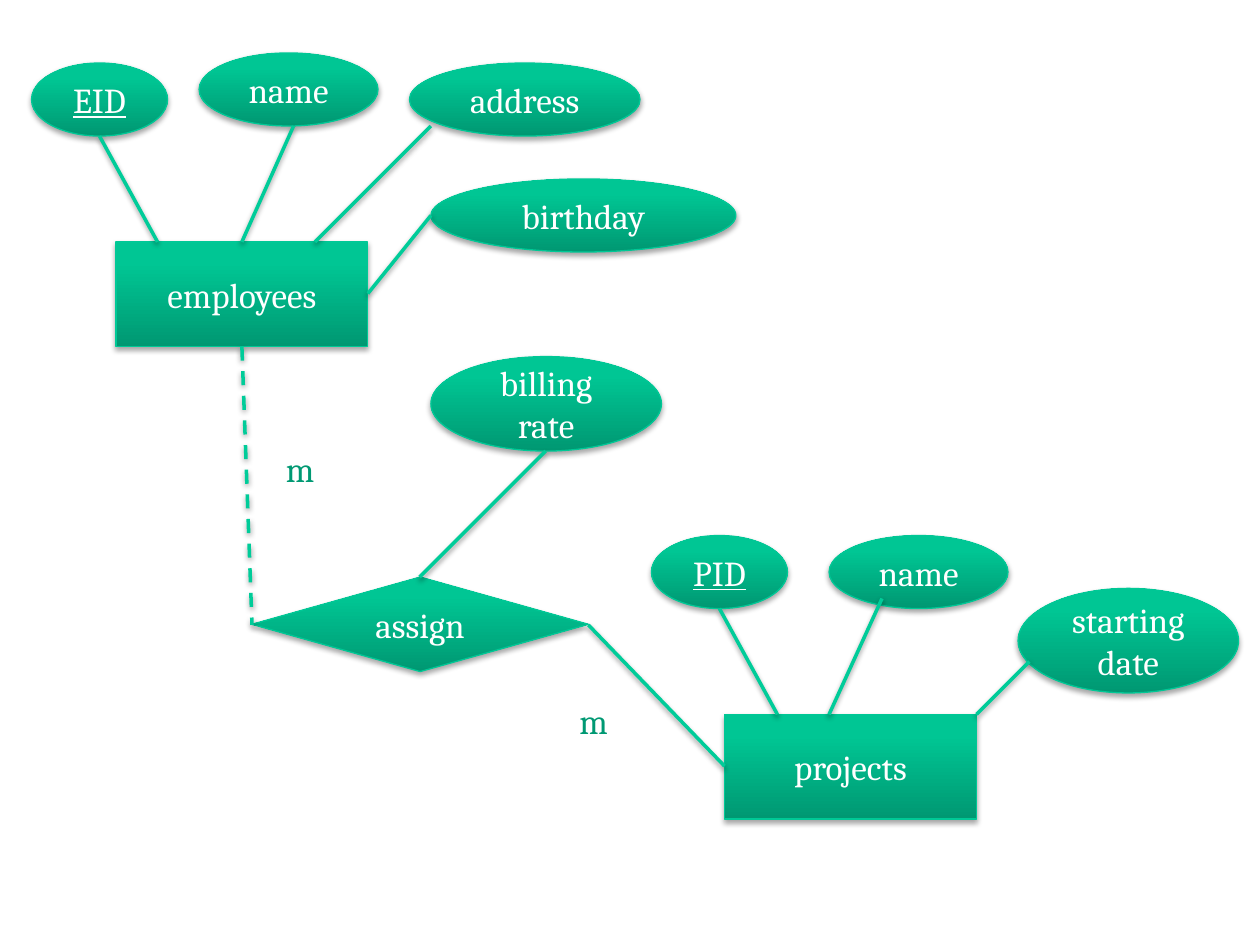
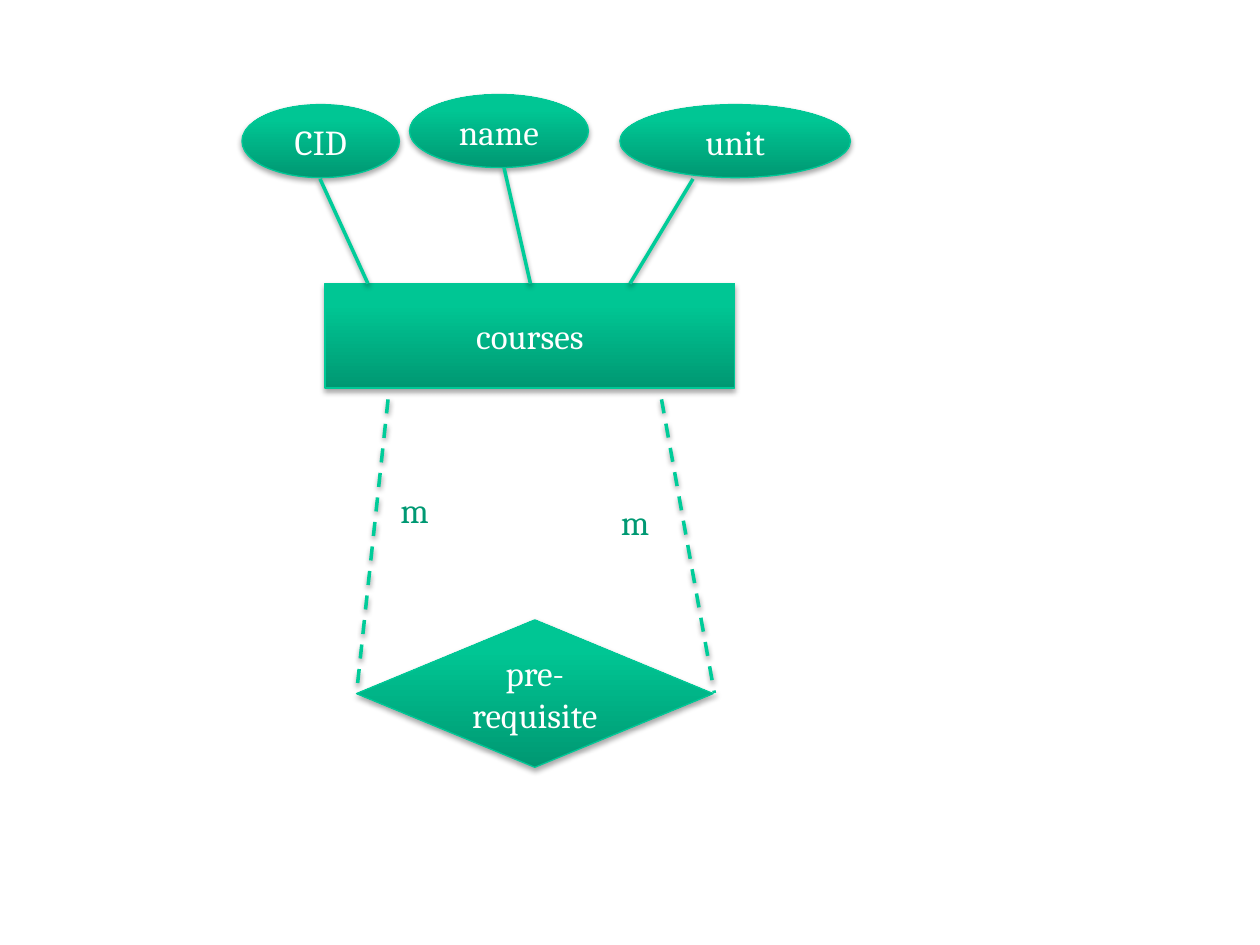
"""Two entity-relationship diagrams: project assignments and course prerequisites."""
from dataclasses import dataclass

import lxml.etree
import pptx
import pptx.dml.color
import pptx.enum.dml
import pptx.enum.shapes
import pptx.enum.text
import pptx.oxml.ns
import pptx.slide
import pptx.util

Inches = pptx.util.Inches
Pt = pptx.util.Pt
qn = pptx.oxml.ns.qn
Shape = pptx.enum.shapes.MSO_SHAPE

FONT = "Cambria"
FONT_SIZE = 20
WHITE = "FFFFFF"
OUTLINE = "00C896"
CONNECTOR = "00CC99"
LABEL = "009973"
GRADIENT = ((0, "009872"), (80, "00C694"), (100, "00C795"))
GRADIENT_ANGLE = 270
SHADOW_BLUR = 3.15
NODE_SHADOW = (1.8, 35)
LINE_SHADOW = (1.6, 38)

ENTITY_HEIGHT = 0.83
ATTRIBUTE_HEIGHT = 0.58
LABEL_SIZE = 0.44


@dataclass(frozen=True)
class Node:
    """An entity, relationship or attribute with its box in inches."""
    kind: Shape
    text: str
    left: float
    top: float
    width: float
    height: float
    key: bool = False


@dataclass(frozen=True)
class Link:
    """A line between two points in inches."""
    start: tuple[float, float]
    end: tuple[float, float]
    dashed: bool = False


@dataclass(frozen=True)
class Diagram:
    """Everything on one slide; labels are the corners of the "m" marks."""
    nodes: list[Node]
    links: list[Link]
    labels: list[tuple[float, float]]


def entity(text: str, left: float, top: float, width: float = 2) -> Node:
    """Describe an entity rectangle."""
    return Node(Shape.RECTANGLE, text, left, top, width, ENTITY_HEIGHT)


def relationship(text: str, left: float, top: float, width: float, height: float) -> Node:
    """Describe a relationship diamond."""
    return Node(Shape.DIAMOND, text, left, top, width, height)


def attribute(text: str, left: float, top: float, width: float,
              height: float = ATTRIBUTE_HEIGHT, key: bool = False) -> Node:
    """Describe an attribute ellipse; a key is underlined."""
    return Node(Shape.OVAL, text, left, top, width, height, key)


ASSIGNMENTS = Diagram(
    nodes=[
        entity("employees", 0.92, 1.92),
        relationship("assign", 2, 4.58, 2.67, 0.75),
        entity("projects", 5.75, 5.67),
        attribute("EID", 0.25, 0.5, 1.08, key=True),
        attribute("name", 1.58, 0.42, 1.42),
        attribute("birthday", 3.42, 1.42, 2.42),
        attribute("address", 3.25, 0.5, 1.83),
        attribute("PID", 5.17, 4.25, 1.08, key=True),
        attribute("name", 6.58, 4.25, 1.42),
        attribute("starting date", 8.08, 4.67, 1.75, 0.83),
        attribute("billing rate", 3.42, 2.83, 1.83, 0.75),
    ],
    links=[
        Link((1.92, 2.75), (2, 4.96), dashed=True),
        Link((4.67, 4.96), (5.75, 6.08)),
        Link((1.25, 1.92), (0.79, 1.08)),
        Link((1.92, 1.92), (2.33, 1)),
        Link((2.5, 1.92), (3.42, 1)),
        Link((2.92, 2.33), (3.42, 1.71)),
        Link((6.17, 5.67), (5.71, 4.83)),
        Link((6.58, 5.67), (7, 4.75)),
        Link((7.75, 5.67), (8.17, 5.25)),
        Link((3.33, 4.58), (4.33, 3.58)),
    ],
    labels=[(2.17, 3.5), (4.5, 5.5)],
)

PREREQUISITES = Diagram(
    nodes=[
        entity("courses", 2.58, 2.25, 3.25),
        relationship("pre-requisite", 2.83, 4.92, 2.83, 1.17),
        attribute("CID", 1.92, 0.83, 1.25),
        attribute("name", 3.25, 0.75, 1.42),
        attribute("unit", 4.92, 0.83, 1.83),
    ],
    links=[
        Link((3.08, 3.17), (2.83, 5.5), dashed=True),
        Link((5.25, 3.17), (5.67, 5.5), dashed=True),
        Link((2.92, 2.25), (2.54, 1.42)),
        Link((4.21, 2.25), (4, 1.33)),
        Link((5, 2.25), (5.5, 1.42)),
    ],
    labels=[(3.08, 3.83), (4.83, 3.92)],
)


def rgb(value: str) -> pptx.dml.color.RGBColor:
    """Turn a hex string into a colour."""
    return pptx.dml.color.RGBColor.from_string(value)


def add_element(parent, tag: str, **attributes):
    """Append a drawing element with the given attributes."""
    values = {name: str(value) for name, value in attributes.items()}
    return lxml.etree.SubElement(parent, qn(tag), values)


def add_shadow(shape, distance: float, opacity: int) -> None:
    """Drop a soft black shadow straight down; call after styling the line."""
    effects = add_element(shape._element.spPr, "a:effectLst")
    shadow = add_element(effects, "a:outerShdw", blurRad=Pt(SHADOW_BLUR),
                         dist=Pt(distance), dir=90 * 60000, rotWithShape=0)
    colour = add_element(shadow, "a:srgbClr", val="000000")
    add_element(colour, "a:alpha", val=opacity * 1000)


def fill_gradient(shape) -> None:
    """Fill a shape with the shared three-stop green gradient."""
    shape.fill.gradient()
    gradient = shape._element.spPr.find(qn("a:gradFill"))
    for child in list(gradient):
        gradient.remove(child)
    stops = add_element(gradient, "a:gsLst")
    for position, colour in GRADIENT:
        stop = add_element(stops, "a:gs", pos=position * 1000)
        add_element(stop, "a:srgbClr", val=colour)
    add_element(gradient, "a:lin", ang=GRADIENT_ANGLE * 60000, scaled=0)


def add_run(paragraph, text: str, colour: str, underline: bool = False) -> None:
    """Add one run in the shared font."""
    run = paragraph.add_run()
    run.text = text
    run.font.name = FONT
    run.font.size = Pt(FONT_SIZE)
    run.font.color.rgb = rgb(colour)
    if underline:
        run.font.underline = True


def draw_node(slide: pptx.slide.Slide, node: Node) -> None:
    """Draw a shape with its centred name."""
    shape = slide.shapes.add_shape(node.kind, Inches(node.left), Inches(node.top),
                                   Inches(node.width), Inches(node.height))
    fill_gradient(shape)
    shape.line.color.rgb = rgb(OUTLINE)
    shape.line.width = Pt(0.75)
    add_shadow(shape, *NODE_SHADOW)
    shape.text_frame.vertical_anchor = pptx.enum.text.MSO_ANCHOR.MIDDLE
    paragraph = shape.text_frame.paragraphs[0]
    paragraph.alignment = pptx.enum.text.PP_ALIGN.CENTER
    add_run(paragraph, node.text, WHITE, node.key)


def draw_link(slide: pptx.slide.Slide, link: Link) -> None:
    """Draw a solid or dashed line."""
    connector = slide.shapes.add_connector(
        pptx.enum.shapes.MSO_CONNECTOR.STRAIGHT,
        *(Inches(value) for value in link.start + link.end))
    connector.line.color.rgb = rgb(CONNECTOR)
    connector.line.width = Pt(2)
    if link.dashed:
        connector.line.dash_style = pptx.enum.dml.MSO_LINE.DASH
    add_shadow(connector, *LINE_SHADOW)


def draw_label(slide: pptx.slide.Slide, left: float, top: float) -> None:
    """Write the "many" mark beside a line."""
    box = slide.shapes.add_textbox(Inches(left), Inches(top),
                                   Inches(LABEL_SIZE), Inches(LABEL_SIZE))
    box.text_frame.word_wrap = False
    box.text_frame.auto_size = pptx.enum.text.MSO_AUTO_SIZE.SHAPE_TO_FIT_TEXT
    add_run(box.text_frame.paragraphs[0], "m", LABEL)


def draw_diagram(presentation, diagram: Diagram) -> None:
    """Add a blank slide and draw one diagram on it."""
    slide = presentation.slides.add_slide(presentation.slide_layouts[6])
    for node in diagram.nodes:
        draw_node(slide, node)
    for link in diagram.links:
        draw_link(slide, link)
    for left, top in diagram.labels:
        draw_label(slide, left, top)


def main() -> None:
    """Build and save the presentation."""
    presentation = pptx.Presentation()
    presentation.slide_width = Inches(10)
    presentation.slide_height = Inches(7.5)
    for diagram in (ASSIGNMENTS, PREREQUISITES):
        draw_diagram(presentation, diagram)
    presentation.save("out.pptx")


main()
